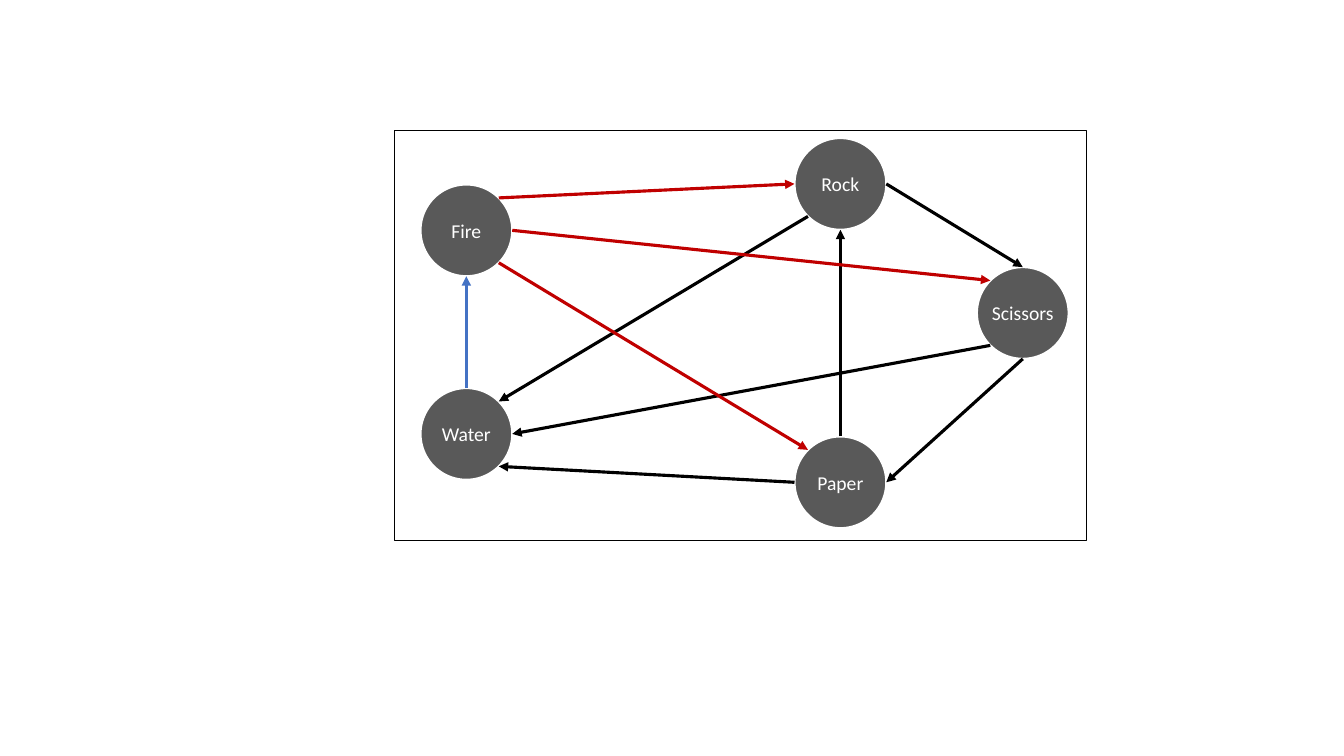
from math import cos, radians, sin

from lxml.etree import SubElement
from pptx import Presentation
from pptx.dml.color import RGBColor
from pptx.enum.shapes import MSO_CONNECTOR as CONNECTOR, MSO_SHAPE as SHAPE
from pptx.enum.text import MSO_ANCHOR as ANCHOR, PP_ALIGN as ALIGN
from pptx.oxml.ns import qn
from pptx.util import Inches, Pt

COLORS = {"node": "595959", "white": "FFFFFF", "black": "000000",
          "red": "C00000", "blue": "4472C4"}

# Connection sites of an ellipse, counter-clockwise from the top
SITES = ["top", "top left", "left", "bottom left",
         "bottom", "bottom right", "right", "top right"]


class Diagram:
    """Style and current slide; positions are percent of slide width and height."""
    font, size, diameter = "Calibri", Pt(14), Inches(0.91)

    def __init__(self, deck):
        self.column, self.row = deck.slide_width / 100, deck.slide_height / 100
        self.shapes = deck.slides.add_slide(deck.slide_layouts[6]).shapes

    def outline(self, line, color, width):
        line.color.rgb = RGBColor.from_string(COLORS[color])
        line.width = Pt(width)

    def node(self, label, x, y):
        d = self.diameter
        circle = self.shapes.add_shape(SHAPE.OVAL, int(x * self.column - d / 2),
                                       int(y * self.row - d / 2), d, d)
        circle.shadow.inherit = False
        circle.fill.solid()
        circle.fill.fore_color.rgb = RGBColor.from_string(COLORS["node"])
        self.outline(circle.line, "white", 1.5)
        frame = circle.text_frame
        frame.margin_left = frame.margin_right = 0
        frame.margin_top = frame.margin_bottom = 0
        frame.vertical_anchor = ANCHOR.MIDDLE
        frame.word_wrap = False
        frame.text = label
        paragraph = frame.paragraphs[0]
        paragraph.alignment = ALIGN.CENTER
        font = paragraph.runs[0].font
        font.name, font.size = self.font, self.size
        font.color.rgb = RGBColor.from_string(COLORS["white"])
        return circle

    def site_point(self, circle, site):
        angle = radians(90 + 45 * SITES.index(site))
        radius = self.diameter / 2
        return (int(circle.left + radius * (1 + cos(angle))),
                int(circle.top + radius * (1 - sin(angle))))

    def arrow(self, start, start_site, end, end_site, color):
        link = self.shapes.add_connector(CONNECTOR.STRAIGHT,
                                         *self.site_point(start, start_site),
                                         *self.site_point(end, end_site))
        self.outline(link.line, color, 2.25)
        # Arrowhead, no shadow, and both ends glued to their circles
        properties = link._element.spPr
        SubElement(properties.find(qn("a:ln")), qn("a:tailEnd"), type="triangle")
        SubElement(properties, qn("a:effectLst"))
        glue = link._element.find(".//" + qn("p:cNvCxnSpPr"))
        for tag, circle, site in (("a:stCxn", start, start_site),
                                  ("a:endCxn", end, end_site)):
            SubElement(glue, qn(tag), id=str(circle.shape_id),
                       idx=str(SITES.index(site)))

    def border(self, x, y, width, height):
        box = self.shapes.add_shape(SHAPE.RECTANGLE,
                                    int(x * self.column), int(y * self.row),
                                    int(width * self.column), int(height * self.row))
        box.shadow.inherit = False
        box.fill.background()
        self.outline(box.line, "black", 0.25)


deck = Presentation()
deck.slide_width, deck.slide_height = Inches(13.33), Inches(7.5)
diagram = Diagram(deck)

# Players, by centre
left_column, middle_column, right_column = 34.7, 62.53, 76.1
water = diagram.node("Water", left_column, 57.4)
paper = diagram.node("Paper", middle_column, 63.8)
rock = diagram.node("Rock", middle_column, 24.33)
fire = diagram.node("Fire", left_column, 30.47)
scissors = diagram.node("Scissors", right_column, 41.4)

# Who beats or yields to whom
for link in [
    (water, "top", fire, "bottom", "blue"),
    (paper, "left", water, "bottom right", "black"),
    (scissors, "bottom", paper, "right", "black"),
    (rock, "right", scissors, "top", "black"),
    (rock, "bottom left", water, "top right", "black"),
    (paper, "top", rock, "bottom", "black"),
    (scissors, "bottom left", water, "right", "black"),
    (fire, "top right", rock, "left", "red"),
    (fire, "right", scissors, "top left", "red"),
    (fire, "bottom right", paper, "top left", "red"),
]:
    diagram.arrow(*link)

# Frame around the diagram
diagram.border(29.33, 17.2, 51.46, 54.27)

deck.save("out.pptx")
